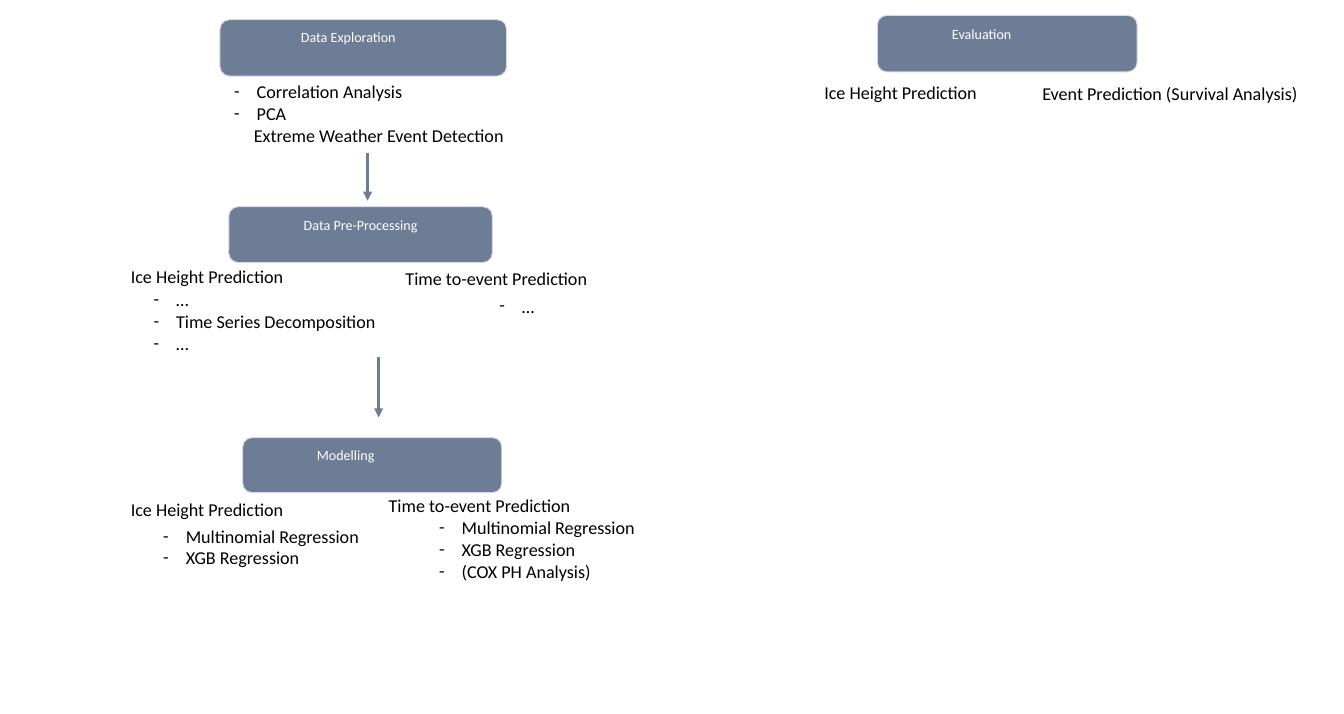
from lxml import etree
from pptx import Presentation
from pptx.dml.color import RGBColor
from pptx.enum.shapes import MSO_CONNECTOR, MSO_SHAPE
from pptx.enum.text import MSO_AUTO_SIZE
from pptx.oxml.ns import qn
from pptx.util import Cm, Pt

SLATE, PALE, WHITE, BLACK = "6D7D95", "D6DCE5", "FFFFFF", "000000"
CM_PER_INCH = 2.54
BULLET_INDENT = Cm(0.79)
PLAIN_INDENT = Cm(0.69)


def color(hex_string):
    return RGBColor.from_string(hex_string)


def add_text(shapes, left, top, width, lines, size=18, hex_color=BLACK):
    """Add a text box; lines starting with "- " become bullets, other lines after them are indented."""
    height = 0.25 + 0.77 * len(lines) if size == 18 else 1.52
    text_box = shapes.add_textbox(Cm(left), Cm(top), Cm(width), Cm(height))
    text_frame = text_box.text_frame
    text_frame.word_wrap = True
    text_frame.auto_size = MSO_AUTO_SIZE.SHAPE_TO_FIT_TEXT
    for index, line in enumerate(lines):
        paragraph = text_frame.paragraphs[0] if index == 0 else text_frame.add_paragraph()
        paragraph.text = line.removeprefix("- ")
        properties = paragraph._p.get_or_add_pPr()
        if line.startswith("- "):
            properties.set("marL", str(BULLET_INDENT))
            properties.set("indent", str(-BULLET_INDENT))
            etree.SubElement(properties, qn("a:buFont"), typeface="Calibri")
            etree.SubElement(properties, qn("a:buChar"), char="-")
        elif index > 0:
            properties.set("marL", str(PLAIN_INDENT))
        font = paragraph.runs[0].font
        font.name = "Calibri"
        font.size = Pt(size)
        font.color.rgb = color(hex_color)


presentation = Presentation()
presentation.slide_width = Cm(18.57 * CM_PER_INCH)
presentation.slide_height = Cm(9.86 * CM_PER_INCH)
slide = presentation.slides.add_slide(presentation.slide_layouts[6])

# Stage headers: name, box (left, top, width, height), label (left, top, width)
stages = [
    ("Data Exploration", (7.72, 0.69, 10.06, 1.98), (10.31, 0.89, 6.4)),
    ("Data Pre-Processing", (8.03, 7.25, 9.25, 1.96), (10.41, 7.47, 7.34)),
    ("Modelling", (8.52, 15.35, 9.09, 1.93), (10.87, 15.54, 7.24)),
    ("Evaluation", (30.79, 0.54, 9.12, 1.98), (33.16, 0.76, 7.24)),
]
for name, box, label in stages:
    group = slide.shapes.add_group_shape()
    header = group.shapes.add_shape(MSO_SHAPE.ROUNDED_RECTANGLE, *map(Cm, box))
    header.shadow.inherit = False
    header.fill.solid()
    header.fill.fore_color.rgb = color(SLATE)
    header.line.color.rgb = color(PALE)
    header.line.width = Pt(1)
    add_text(group.shapes, *label, [name], size=14, hex_color=WHITE)

# Stage details: left, top, width, lines
details = [
    (7.97, 2.7, 10.85, ["- Correlation Analysis", "- PCA", "Extreme Weather Event Detection"]),
    (4.34, 9.19, 8.94, ["Ice Height Prediction"]),
    (5.14, 10, 8.94, ["- …", "- Time Series Decomposition", "- …"]),
    (13.98, 9.25, 14.5, ["Time to-event Prediction"]),
    (17.28, 10.22, 8.94, ["- …"]),
    (4.34, 17.35, 8.94, ["Ice Height Prediction"]),
    (5.48, 18.29, 8.94, ["- Multinomial Regression", "- XGB Regression"]),
    (13.39, 17.2, 14.5, ["Time to-event Prediction"]),
    (15.16, 18, 8.94, ["- Multinomial Regression", "- XGB Regression", "- (COX PH Analysis)"]),
    (28.68, 2.72, 8.94, ["Ice Height Prediction"]),
    (36.33, 2.77, 10.85, ["Event Prediction (Survival Analysis)"]),
]
for left, top, width, lines in details:
    add_text(slide.shapes, left, top, width, lines)

# Arrows between stages: x, start y, end y
for x, start, end in [(12.9, 5.36, 7.04), (13.29, 12.52, 14.64)]:
    arrow = slide.shapes.add_connector(MSO_CONNECTOR.STRAIGHT, Cm(x), Cm(start), Cm(x), Cm(end))
    arrow.line.color.rgb = color(SLATE)
    arrow.line.width = Pt(3)
    etree.SubElement(arrow.line._get_or_add_ln(), qn("a:tailEnd"), type="triangle")
    etree.SubElement(arrow._element.spPr, qn("a:effectLst"))

presentation.save("out.pptx")
